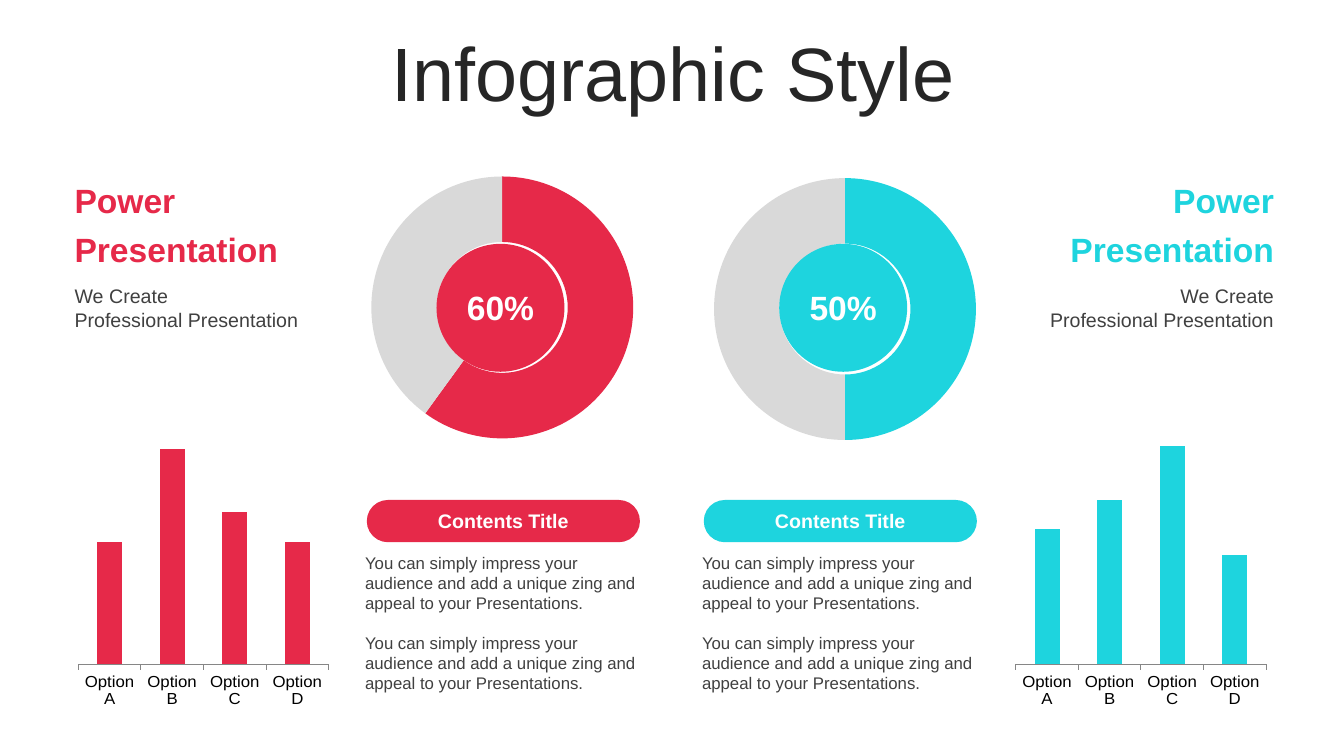
from lxml.etree import SubElement
from pptx import Presentation
from pptx.chart.data import CategoryChartData
from pptx.dml.color import RGBColor
from pptx.enum.chart import XL_CHART_TYPE, XL_TICK_MARK
from pptx.enum.shapes import MSO_SHAPE
from pptx.enum.text import MSO_ANCHOR, PP_ALIGN
from pptx.oxml.ns import qn
from pptx.util import Pt

RED = RGBColor(0xE6, 0x29, 0x49)
CYAN = RGBColor(0x1E, 0xD4, 0xDE)
LIGHT = RGBColor(0xD9, 0xD9, 0xD9)
AXIS = RGBColor(0x86, 0x86, 0x86)
TEXT = RGBColor(0x40, 0x40, 0x40)
DARK = RGBColor(0x26, 0x26, 0x26)
WHITE = RGBColor(0xFF, 0xFF, 0xFF)
BLACK = RGBColor(0x00, 0x00, 0x00)

OPTIONS = ["Option A", "Option B", "Option C", "Option D"]
BODY = "You can simply impress your audience and add a unique zing and appeal to your Presentations."


class SlideBuilder:
    font = "Arial"

    def __init__(self, slide):
        self.shapes = slide.shapes

    def text(self, box, lines, size, color, bold=False, align=PP_ALIGN.LEFT,
             anchor=MSO_ANCHOR.TOP, spacing=None, gap=0, insets=(7.2, 3.6, 7.2, 3.6)):
        tf = self.shapes.add_textbox(*map(Pt, box)).text_frame
        tf.word_wrap = True
        tf.vertical_anchor = anchor
        tf.margin_left, tf.margin_top, tf.margin_right, tf.margin_bottom = map(Pt, insets)
        tf.text = "\n".join(lines)
        for i, p in enumerate(tf.paragraphs):
            p.alignment = align
            p.line_spacing = spacing
            p.space_before = Pt(gap if i else 0)
            for r in p.runs:
                r.font.name = self.font
                r.font.size = Pt(size)
                r.font.bold = bold
                r.font.color.rgb = color

    def shape(self, kind, box, color):
        sp = self.shapes.add_shape(kind, *map(Pt, box))
        sp.shadow.inherit = False
        sp.fill.solid()
        sp.fill.fore_color.rgb = color
        sp.line.fill.background()
        return sp

    def pill(self, box, color):
        self.shape(MSO_SHAPE.ROUNDED_RECTANGLE, box, color).adjustments[0] = 0.5

    def chart(self, kind, box, categories, values, plot_box):
        data = CategoryChartData()
        data.categories = categories
        data.add_series("Series 1", values)
        chart = self.shapes.add_chart(kind, *map(Pt, box), data).chart
        chart.has_legend = False
        chart.has_title = False
        chart.font.name = self.font
        chart.font.size = Pt(18)
        chart.font.color.rgb = BLACK
        area = chart.element.find(".//" + qn("c:plotArea"))
        for old in area.findall(qn("c:layout")):
            area.remove(old)
        layout = SubElement(area, qn("c:layout"))
        area.insert(0, layout)
        manual = SubElement(layout, qn("c:manualLayout"))
        settings = [("layoutTarget", "inner"), ("xMode", "edge"), ("yMode", "edge")]
        settings += zip("xywh", plot_box)
        for tag, value in settings:
            SubElement(manual, qn("c:" + tag)).set("val", str(value))
        return chart

    def doughnut(self, box, share, color, plot_top):
        chart = self.chart(XL_CHART_TYPE.DOUGHNUT, box, ["1", "2"], [share, 100 - share],
                           (0.046, plot_top, 0.924, 0.966))
        chart.element.find(".//" + qn("c:holeSize")).set("val", "75")
        plot = chart.plots[0]
        plot.has_data_labels = False
        for i, fill in enumerate((color, LIGHT)):
            fmt = plot.series[0].points[i].format
            fmt.fill.solid()
            fmt.fill.fore_color.rgb = fill
            fmt.line.fill.background()

    def columns(self, box, values, color, top):
        chart = self.chart(XL_CHART_TYPE.COLUMN_STACKED, box, OPTIONS, values,
                           (0.074, 0.008, 0.884, 0.886))
        plot = chart.plots[0]
        plot.gap_width = 150
        plot.overlap = 100
        plot.vary_by_categories = False
        fill = plot.series[0].format.fill
        fill.solid()
        fill.fore_color.rgb = color
        axis = chart.value_axis
        axis.minimum_scale = 0
        axis.maximum_scale = top
        axis.has_major_gridlines = False
        axis.visible = False
        axis = chart.category_axis
        axis.major_tick_mark = XL_TICK_MARK.OUTSIDE
        axis.format.line.color.rgb = AXIS
        axis.format.line.width = Pt(0.75)
        axis.tick_labels.font.name = self.font
        axis.tick_labels.font.size = Pt(12)

    def panel(self, color, align, share, plot_top, values, top,
              heading_x, columns_x, ring_x, pill_x):
        insets = (5.76, 0, 2.88, 0)
        self.text((heading_x, 122.4, 184.3, 67.7), ["Power", "Presentation"], 24, color,
                  bold=True, align=align, spacing=Pt(35), insets=insets)
        self.text((heading_x, 203, 184.3, 33.8), ["We Create", "Professional Presentation"],
                  14, TEXT, align=align, insets=insets)
        self.columns((columns_x, 297.4, 202.3, 208.1), values, color, top)
        self.doughnut((ring_x, 122.4, 205.9, 193.7), share, color, plot_top)
        self.shape(MSO_SHAPE.OVAL, (ring_x + 57.6, 174.2, 91.4, 91.4), color)
        self.text((ring_x + 56.5, 196.6, 93.6, 46.1), [f"{share}%"], 24, WHITE, bold=True,
                  align=PP_ALIGN.CENTER, anchor=MSO_ANCHOR.MIDDLE)
        self.pill((pill_x, 357.1, 195.1, 30.2), color)
        self.text((pill_x + 6.1, 360, 182.9, 24.5), ["Contents Title"], 14, WHITE, bold=True,
                  align=PP_ALIGN.CENTER)
        self.text((pill_x - 8.3, 391, 211, 108.7), [BODY, BODY], 12, TEXT, gap=14.2)


def main():
    prs = Presentation()
    prs.slide_width, prs.slide_height = Pt(960), Pt(540)
    s = SlideBuilder(prs.slides.add_slide(prs.slide_layouts[6]))
    s.text((25.2, 26.6, 911.5, 56.9), ["Infographic Style"], 54, DARK,
           align=PP_ALIGN.CENTER, anchor=MSO_ANCHOR.MIDDLE, spacing=0.9)
    s.panel(RED, PP_ALIGN.LEFT, 60, 0.019, [57, 100, 71, 57], 114.3,
            heading_x=47.5, columns_x=41, ring_x=254.2, pill_x=262)
    s.panel(CYAN, PP_ALIGN.RIGHT, 50, 0.025, [62, 75, 100, 50], 112.5,
            heading_x=728.6, columns_x=710.6, ring_x=499, pill_x=502.7)
    prs.save("out.pptx")


if __name__ == "__main__":
    main()
